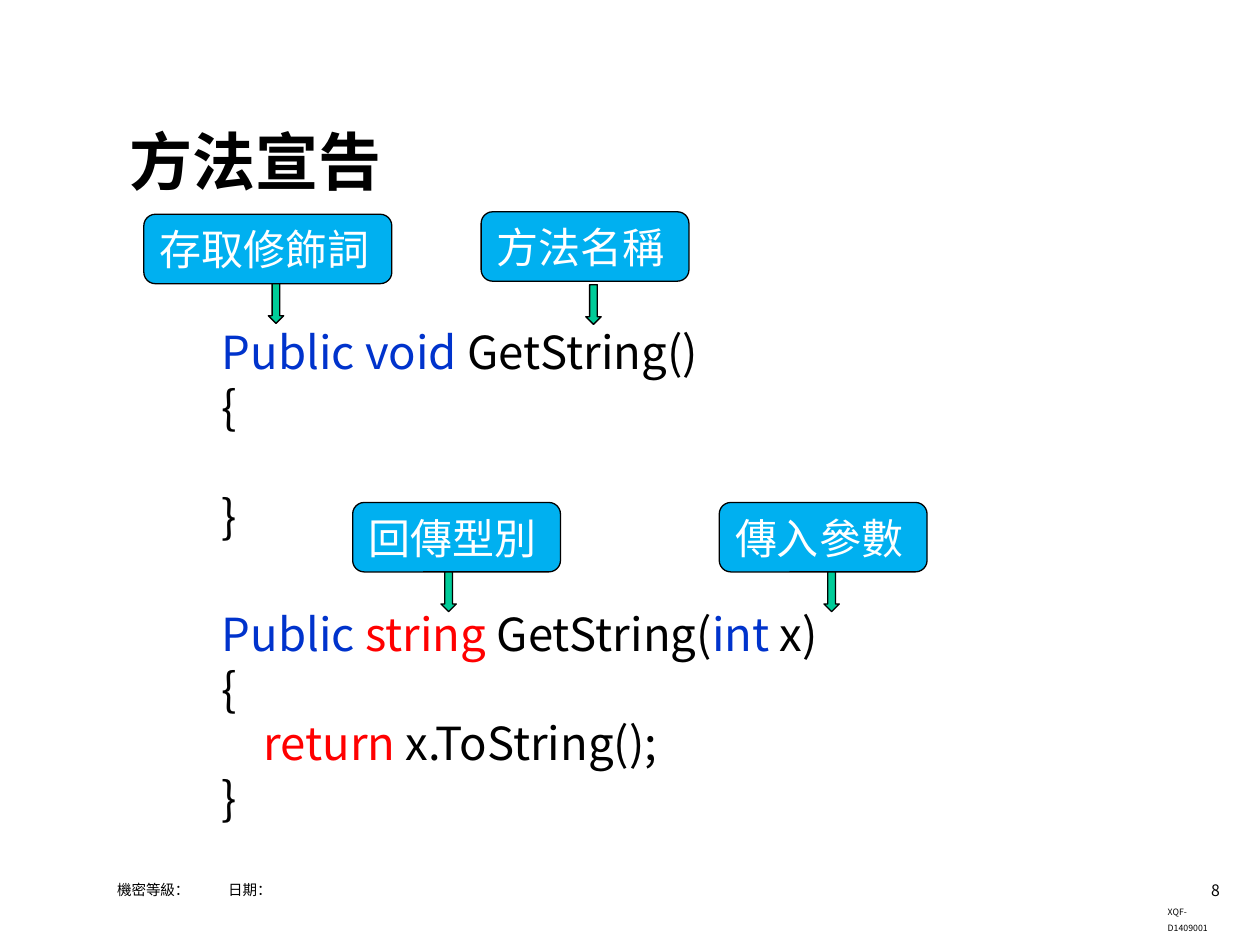
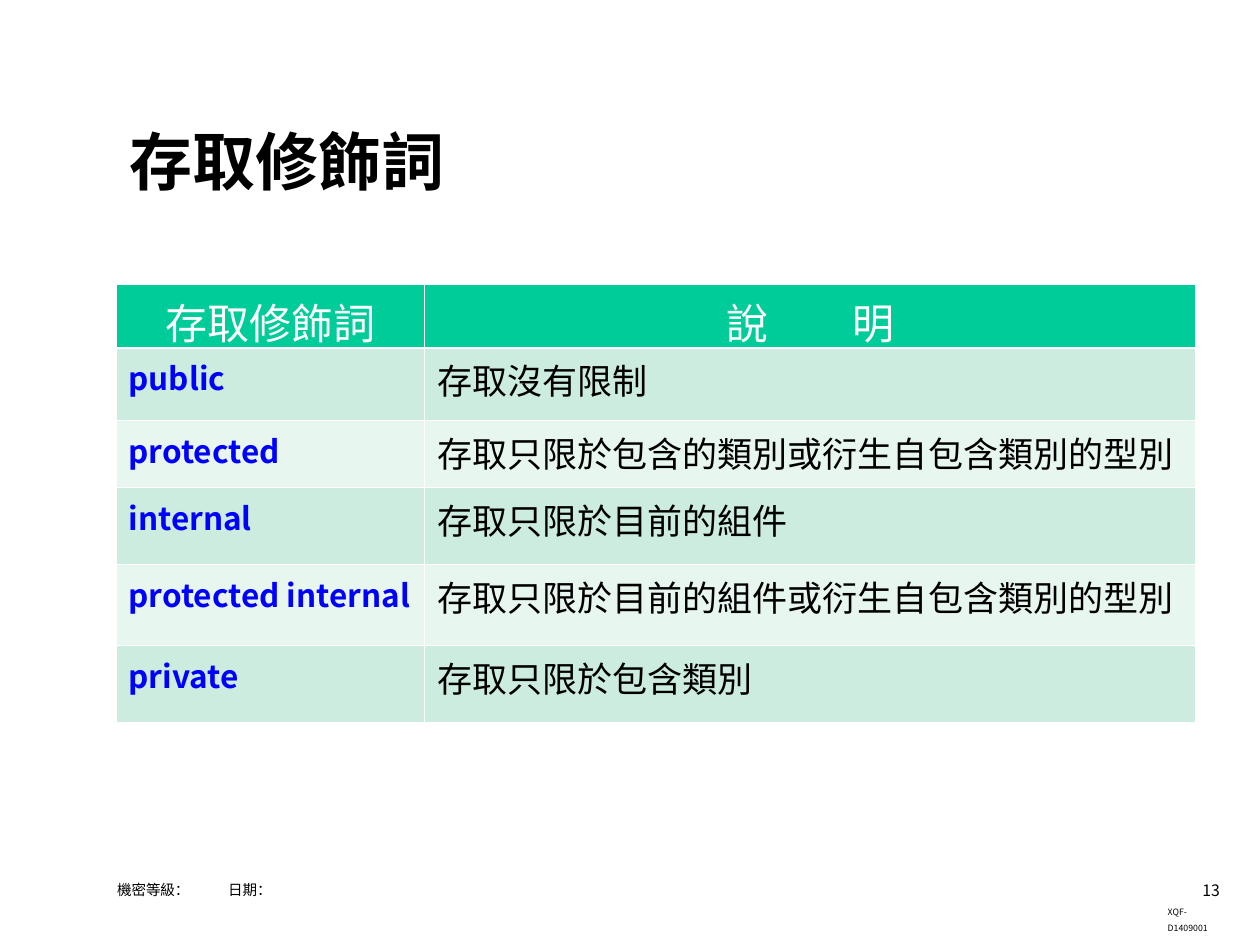
from dataclasses import dataclass

from lxml import etree
from pptx import Presentation
from pptx.dml.color import RGBColor
from pptx.enum.shapes import MSO_SHAPE
from pptx.enum.text import MSO_ANCHOR, PP_ALIGN
from pptx.oxml.ns import qn
from pptx.util import Cm, Pt

ROUNDED = MSO_SHAPE.ROUNDED_RECTANGLE
DOWN_ARROW = MSO_SHAPE.DOWN_ARROW
TOP, MIDDLE = MSO_ANCHOR.TOP, MSO_ANCHOR.MIDDLE
LEFT, CENTER, RIGHT = PP_ALIGN.LEFT, PP_ALIGN.CENTER, PP_ALIGN.RIGHT


@dataclass(frozen=True)
class Theme:
    black: str = "000000"
    white: str = "FFFFFF"
    sky: str = "00B0F0"
    green: str = "00CC99"
    bands: tuple = ("CBECDE", "E7F6EF")
    keyword: str = "0033CC"
    accent: str = "FF0000"
    modifier: str = "0000FF"
    sans: str = "Noto Sans CJK SC"
    code: str = "Noto Sans CJK KR"
    serif: str = "Times New Roman"
    title_size: float = 36
    label_size: float = 24
    code_size: float = 26
    code_pitch: float = 31.2
    modifier_size: float = 18
    meaning_size: float = 20
    footer_size: float = 8.3
    number_size: float = 9
    document_size: float = 5
    outline: float = 0.75
    thin_border: float = 0.45
    thick_border: float = 1.47


@dataclass(frozen=True)
class Box:
    left: float
    top: float
    width: float
    height: float

    def lengths(self):
        return [Cm(value) for value in (self.left, self.top, self.width, self.height)]


THEME = Theme()
TITLE_BOX = Box(2.36, 2.13, 22.15, 2.21)
FOOTER_BOX = Box(2.36, 17.53, 18.85, 0.79)
NUMBER_BOX = Box(23.11, 17.63, 1.73, 0.64)
DOCUMENT_BOX = Box(23.29, 18.06, 1.7, 0.58)
DATE_TAB = 2.24

CALLOUT_HEIGHT = 1.4
CALLOUTS = [
    ("存取修飾詞", Box(2.9, 4.32, 5, CALLOUT_HEIGHT), 2.51, 0),
    ("回傳型別", Box(7.11, 10.13, 4.19, CALLOUT_HEIGHT), 1.78, 0),
    ("傳入參數", Box(14.5, 10.13, 4.19, CALLOUT_HEIGHT), 2.11, 0),
    ("方法名稱", Box(9.7, 4.27, 4.19, CALLOUT_HEIGHT), 2.11, 0.07),
]
VOID_METHOD = [
    [("Public void ", THEME.keyword), ("GetString()", THEME.black)],
    [("{", THEME.black)],
    [("}", THEME.black)],
]
STRING_METHOD = [
    [
        ("Public ", THEME.keyword),
        ("string ", THEME.accent),
        ("GetString(", THEME.black),
        ("int", THEME.keyword),
        (" x)", THEME.black),
    ],
    [("{", THEME.black)],
    [("return", THEME.accent), (" x.ToString();", THEME.black)],
    [("}", THEME.black)],
]
MODIFIERS = [
    ("public", "存取沒有限制", 1.47),
    ("protected", "存取只限於包含的類別或衍生自包含類別的型別", 1.35),
    ("internal", "存取只限於目前的組件", 1.55),
    ("protected internal", "存取只限於目前的組件或衍生自包含類別的型別", 1.63),
    ("private", "存取只限於包含類別", 1.55),
]


def apply(target, **formats):
    for name, value in formats.items():
        setattr(target, name, value)


def add_span(para, text, size, color, latin=THEME.sans, east=THEME.sans, bold=False):
    span = para.add_run()
    span.text = text
    apply(span.font, name=latin, size=Pt(size), bold=bold)
    span.font.color.rgb = RGBColor.from_string(color)
    properties = span.font._element
    properties.find(qn("a:latin")).addnext(
        properties.makeelement(qn("a:ea"), {"typeface": east})
    )
    return span


def add_text_box(page, box, **formats):
    frame = page.shapes.add_textbox(*box.lengths()).text_frame
    apply(frame, **{"word_wrap": True, "vertical_anchor": TOP, **formats})
    return frame


def add_filled_shape(page, kind, box, color):
    shape = page.shapes.add_shape(kind, *box.lengths())
    shape.shadow.inherit = False
    shape.fill.solid()
    shape.fill.fore_color.rgb = RGBColor.from_string(color)
    shape.line.color.rgb = RGBColor.from_string(THEME.black)
    shape.line.width = Pt(THEME.outline)
    return shape


def add_title(page, box, text):
    frame = add_text_box(page, box, vertical_anchor=MIDDLE)
    add_span(frame.paragraphs[0], text, THEME.title_size, THEME.black, bold=True)


def add_footer(page, number):
    para = add_text_box(page, FOOTER_BOX, margin_left=0).paragraphs[0]
    apply(para, line_spacing=1.3, space_before=Pt(3.4))
    tabs = etree.SubElement(para._p.get_or_add_pPr(), qn("a:tabLst"))
    etree.SubElement(tabs, qn("a:tab"), pos=str(Cm(DATE_TAB)), algn="l")
    add_span(para, "機密等級：\t日期：", THEME.footer_size, THEME.black)

    para = add_text_box(page, NUMBER_BOX).paragraphs[0]
    para.alignment = RIGHT
    add_span(para, str(number), THEME.number_size, THEME.black)

    para = add_text_box(page, DOCUMENT_BOX, word_wrap=False).paragraphs[0]
    apply(para, line_spacing=1.5, space_before=Pt(1.9))
    add_span(para, "XQF-D1409001", THEME.document_size, THEME.black)


def add_callout(page, box, text, arrow_offset, arrow_gap):
    bubble = add_filled_shape(page, ROUNDED, box, THEME.sky)
    bubble.text_frame.vertical_anchor = TOP
    para = bubble.text_frame.paragraphs[0]
    para.alignment = LEFT
    add_span(para, text, THEME.label_size, THEME.white)
    arrow_top = box.top + box.height + arrow_gap
    arrow_box = Box(box.left + arrow_offset, arrow_top, 0.31, 0.8)
    add_filled_shape(page, DOWN_ARROW, arrow_box, THEME.green)


def add_code(page, box, lines):
    frame = add_text_box(page, box, margin_top=Cm(0.21))
    for index, line in enumerate(lines):
        para = frame.add_paragraph() if index else frame.paragraphs[0]
        para.line_spacing = Pt(THEME.code_pitch)
        for text, color in line:
            add_span(para, text, THEME.code_size, color, THEME.code, THEME.code)
    return frame


def set_borders(cell, **widths):
    properties = cell._tc.get_or_add_tcPr()
    for side in "LRTB":
        width = Pt(widths.get(side, THEME.thin_border))
        line = etree.SubElement(properties, qn(f"a:ln{side}"), w=str(width))
        fill = etree.SubElement(line, qn("a:solidFill"))
        etree.SubElement(fill, qn("a:srgbClr"), val=THEME.white)


def fill_cell(cell, color, **widths):
    set_borders(cell, **widths)
    cell.fill.solid()
    cell.fill.fore_color.rgb = RGBColor.from_string(color)
    return cell.text_frame.paragraphs[0]


def add_modifier_table(page, box):
    frame = page.shapes.add_table(len(MODIFIERS) + 1, 2, *box.lengths())
    table = frame.table
    heights = [1.24] + [height for _, _, height in MODIFIERS]
    for row, height in zip(table.rows, heights):
        row.height = Cm(height)
    for column, width in zip(table.columns, (6.22, box.width - 6.22)):
        column.width = Cm(width)

    heads = [fill_cell(table.cell(0, index), THEME.green, B=THEME.thick_border)
             for index in range(2)]
    for para, words in zip(heads, (["存取修飾詞"], ["說", "明"])):
        para.alignment = CENTER
        spans = [add_span(para, word, THEME.label_size, THEME.white, THEME.serif)
                 for word in words]
        for span in spans[:-1]:
            span.font._element.set("spc", str(THEME.label_size * 2 * 100))

    for index, (modifier, meaning, _) in enumerate(MODIFIERS):
        borders = {"T": THEME.thin_border if index else THEME.thick_border}
        name_para, meaning_para = [
            fill_cell(table.cell(index + 1, column), THEME.bands[index % 2], **borders)
            for column in range(2)
        ]
        add_span(name_para, modifier, THEME.modifier_size, THEME.modifier, bold=True)
        add_span(meaning_para, meaning, THEME.meaning_size, THEME.black)


def add_page(deck, title, number):
    page = deck.slides.add_slide(deck.slide_layouts[6])
    add_title(page, TITLE_BOX, title)
    add_footer(page, number)
    return page


def build_method_page(deck):
    page = add_page(deck, "方法宣告", 8)
    string_code = add_code(page, Box(4.22, 12.01, 15.8, 5.77), STRING_METHOD)
    indented = string_code.paragraphs[2]._p.get_or_add_pPr()
    indented.set("marL", str(Cm(0.84)))
    void_code = add_code(page, Box(4.22, 6.32, 15.8, 4.67), VOID_METHOD)
    void_code.paragraphs[-1].space_before = Pt(THEME.code_pitch)
    for text, box, arrow_offset, arrow_gap in CALLOUTS:
        add_callout(page, box, text, arrow_offset, arrow_gap)


def build_modifier_page(deck):
    page = add_page(deck, "存取修飾詞", 13)
    add_modifier_table(page, Box(2.34, 5.74, 21.76, 8.79))


def main():
    deck = Presentation()
    apply(deck, slide_width=Cm(25.4), slide_height=Cm(19.05))
    build_method_page(deck)
    build_modifier_page(deck)
    deck.save("out.pptx")


if __name__ == "__main__":
    main()
